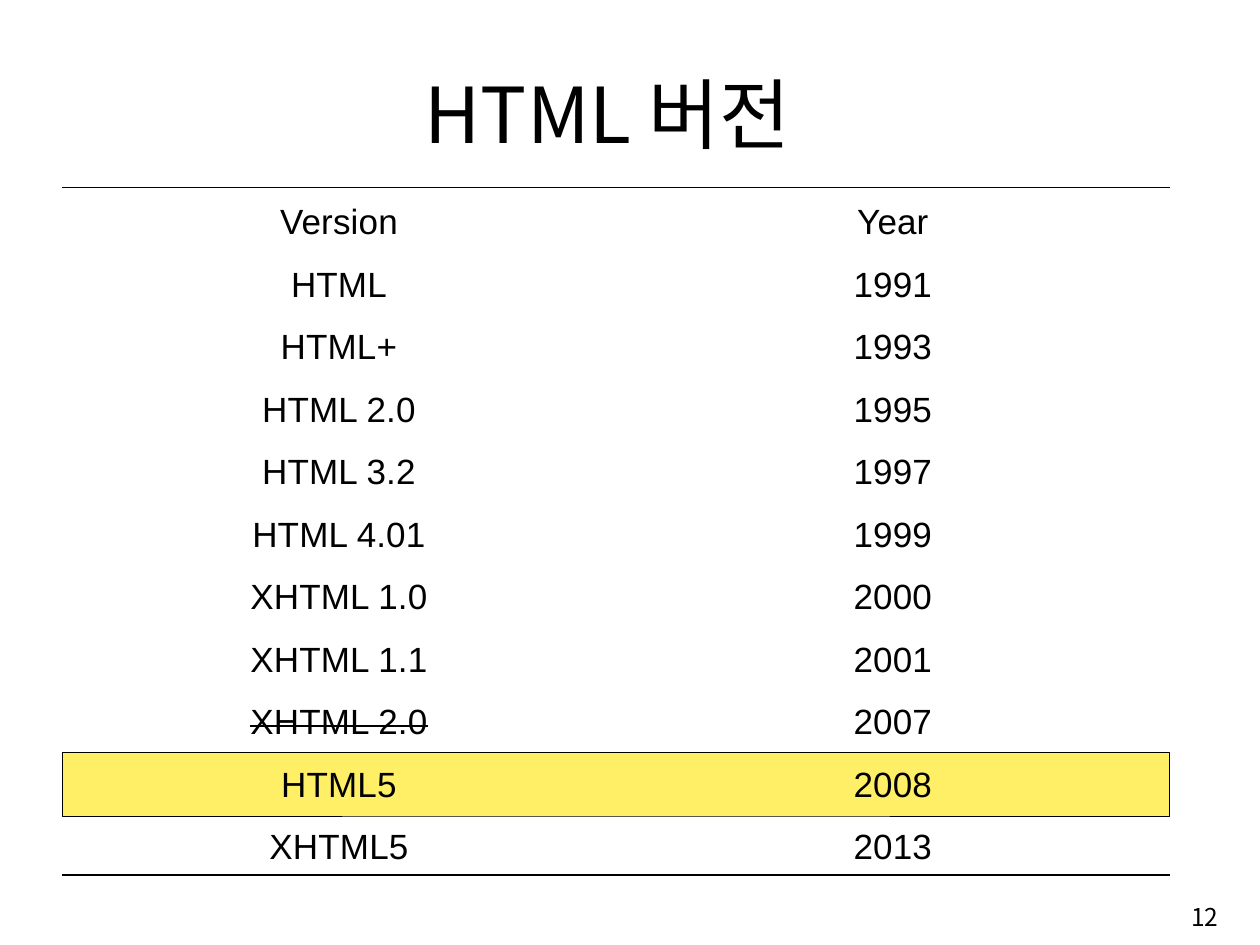
from lxml.etree import SubElement
from pptx import Presentation
from pptx.dml.color import RGBColor
from pptx.enum.shapes import MSO_SHAPE as Shape
from pptx.enum.text import MSO_ANCHOR as Anchor, PP_ALIGN as Align
from pptx.oxml import parse_xml
from pptx.oxml.ns import nsdecls, qn
from pptx.util import Inches, Pt

BLACK = RGBColor(0x00, 0x00, 0x00)
YELLOW = RGBColor(0xFF, 0xEF, 0x66)
KOREAN, LATIN = "Noto Sans CJK KR", "Arial"

VERSIONS = [
    ("Version", "Year"),
    ("HTML", "1991"),
    ("HTML+", "1993"),
    ("HTML 2.0", "1995"),
    ("HTML 3.2", "1997"),
    ("HTML 4.01", "1999"),
    ("XHTML 1.0", "2000"),
    ("XHTML 1.1", "2001"),
    ("XHTML 2.0", "2007"),
    ("HTML5", "2008"),
    ("XHTML5", "2013"),
]
ABANDONED, CURRENT = "XHTML 2.0", "HTML5"


def set_all(target, values):
    """Set every attribute named in a dict of format values."""
    for name, value in values.items():
        setattr(target, name, value)


def write(paragraph, text, font, size, align):
    """Write one styled run and return its properties element."""
    paragraph.alignment = align
    run = paragraph.add_run()
    run.text = text
    set_all(run.font, {"name": font, "size": Pt(size)})
    run.font.color.rgb = BLACK
    properties = run._r.get_or_add_rPr()
    SubElement(properties, qn("a:ea")).set("typeface", font)
    return properties


def add_label(slide, box, text, size, align, anchor):
    """Place a line of Korean-font text in a box."""
    frame = slide.shapes.add_textbox(*map(Inches, box)).text_frame
    set_all(frame, {"word_wrap": True, "vertical_anchor": anchor})
    write(frame.paragraphs[0], text, KOREAN, size, align)


def rule_cell(cell, ruled_sides):
    """Draw a black border on the ruled sides and none on the others."""
    for position, side in enumerate("LRTB"):
        paint = f'<a:solidFill><a:srgbClr val="{BLACK}"/></a:solidFill>' if side in ruled_sides else "<a:noFill/>"
        border = parse_xml(f'<a:ln{side} {nsdecls("a")} w="{Pt(1)}">{paint}</a:ln{side}>')
        cell._tc.get_or_add_tcPr().insert(position, border)


def fill_cell(cell, text, ruled_sides):
    """Write and format one table cell."""
    cell.fill.background()
    set_all(cell, {
        "vertical_anchor": Anchor.MIDDLE,
        "margin_left": Inches(0.09), "margin_right": Inches(0.09),
        "margin_top": Inches(0.03), "margin_bottom": Inches(0.03),
    })
    paragraph = cell.text_frame.paragraphs[0]
    paragraph.line_spacing = 1.2
    properties = write(paragraph, text, LATIN, 26, Align.CENTER)
    properties.set("spc", "10")
    if text == ABANDONED:
        properties.set("strike", "sngStrike")
    rule_cell(cell, ruled_sides)


def add_highlight(slide, box):
    """Place the yellow band that marks the current version."""
    band = slide.shapes.add_shape(Shape.RECTANGLE, *map(Inches, box))
    band.shadow.inherit = False
    band.fill.solid()
    band.fill.fore_color.rgb = YELLOW
    band.line.color.rgb = BLACK
    band.line.width = Pt(0.75)


def add_versions(slide, left, top, width, height):
    """Place the version table over the band behind its current row."""
    row_height = height / len(VERSIONS)
    current_row = [version for version, year in VERSIONS].index(CURRENT)
    add_highlight(slide, (left, top + current_row * row_height + 0.03, width, 0.65))

    table = slide.shapes.add_table(
        len(VERSIONS), 2, *map(Inches, (left, top, width, height))).table
    set_all(table, {"first_row": False, "horz_banding": False})
    last = len(VERSIONS) - 1
    for row, entry in enumerate(VERSIONS):
        table.rows[row].height = Inches(row_height)
        ruled_sides = {0: "T", last: "B"}.get(row, "")
        for column, text in enumerate(entry):
            fill_cell(table.cell(row, column), text, ruled_sides)


def main():
    """Build the slide and save it."""
    deck = Presentation()
    set_all(deck, {"slide_width": Inches(12.99), "slide_height": Inches(9.74)})
    slide = deck.slides.add_slide(deck.slide_layouts[6])
    add_label(slide, (1.05, 0.61, 10.61, 1.08), "HTML 버전 ", 57.2, Align.CENTER, Anchor.BOTTOM)
    add_versions(slide, 0.64, 1.93, 11.42, 7.09)
    add_label(slide, (9.98, 9.15, 2.68, 0.6), "12", 18.2, Align.RIGHT, Anchor.MIDDLE)
    deck.save("out.pptx")


if __name__ == "__main__":
    main()
